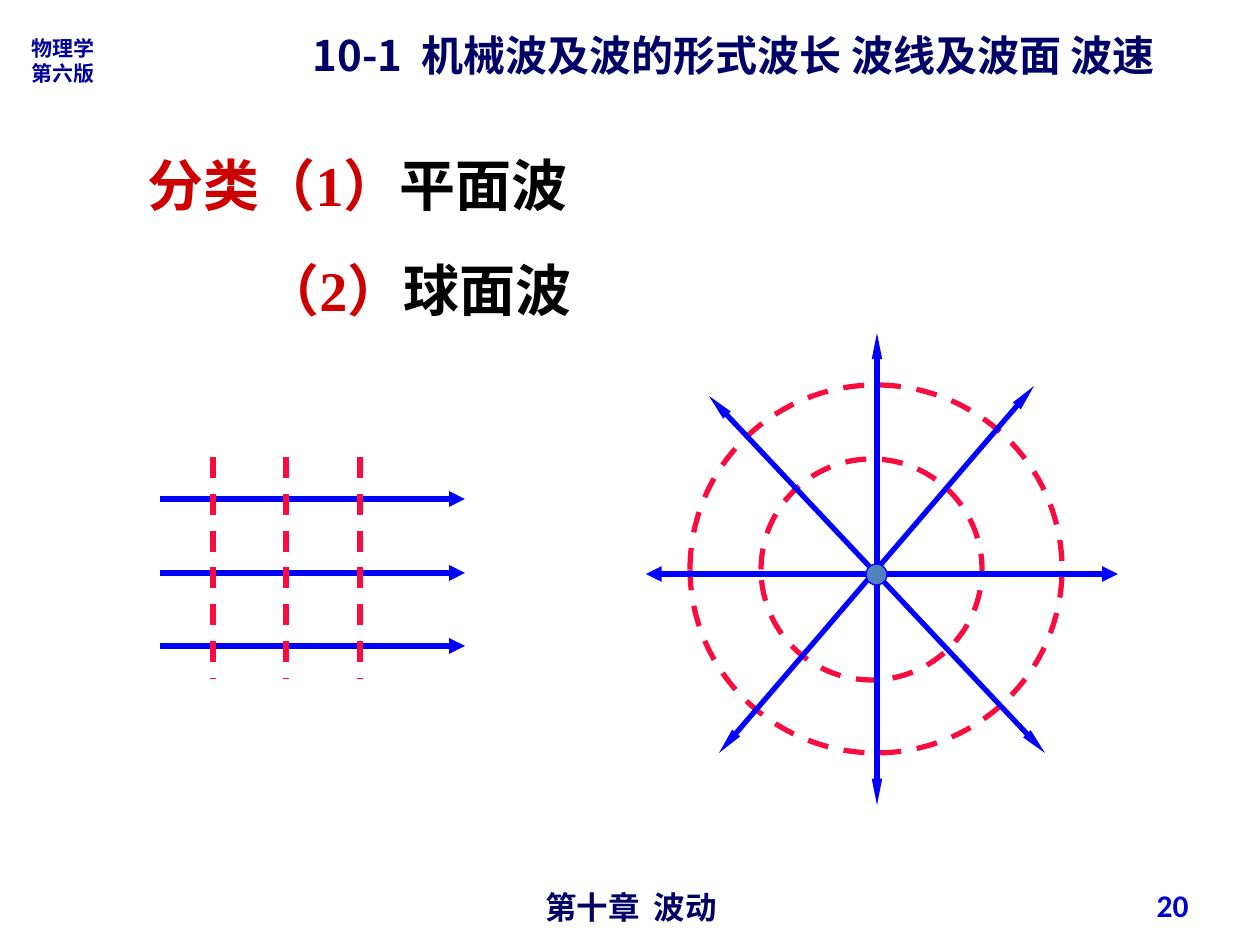
from pptx import Presentation
from pptx.dml.color import RGBColor
from pptx.enum.dml import MSO_LINE
from pptx.enum.shapes import MSO_CONNECTOR, MSO_SHAPE
from pptx.enum.text import MSO_ANCHOR, PP_ALIGN
from pptx.oxml.ns import qn
from pptx.util import Emu, Pt
from lxml.etree import SubElement

SCALE = 914400 / 126
BLUE, RED = "0000FF", "F90D40"


def px(*values):
    return [Emu(round(value * SCALE)) for value in values]


def write(shape, text, size, color, font="Noto Sans CJK SC", align=PP_ALIGN.LEFT,
          anchor=MSO_ANCHOR.TOP, spacing=1.0, tail=""):
    frame = shape.text_frame
    frame.word_wrap = True
    frame.vertical_anchor = anchor
    for index, line in enumerate(text.split("\n")):
        paragraph = frame.paragraphs[0] if index == 0 else frame.add_paragraph()
        paragraph.alignment = align
        paragraph.line_spacing = spacing
        paragraph.space_before = Pt(0)
        for words, shade in ((line, color), (tail, "000000")):
            if words:
                run = paragraph.add_run()
                run.text = words
                run.font.name = font
                run.font.size = Pt(size)
                run.font.bold = True
                run.font.color.rgb = RGBColor.from_string(shade)
                east_asian = SubElement(run.font._element, qn("a:ea"))
                east_asian.set("typeface", "Noto Sans CJK SC")


presentation = Presentation()
presentation.slide_width, presentation.slide_height = px(1260, 945)
slide = presentation.slides.add_slide(presentation.slide_layouts[5])
shapes = slide.shapes

title = shapes.title
title.left, title.top, title.width, title.height = px(300, 13, 956, 73)
write(title, "10-1  机械波及波的形式波长 波线及波面 波速", 24, "000066", spacing=1.2)

labels = [
    ((18, 29, 90, 63), "物理学\n第六版", 12, "000099", {"align": PP_ALIGN.CENTER}),
    ((431, 882, 400, 37), "第十章  波动", 18, "000066",
     {"font": "Arial", "align": PP_ALIGN.CENTER}),
    ((907, 880, 294, 50), "20", 18, "0000CC",
     {"font": "Calibri", "align": PP_ALIGN.RIGHT, "anchor": MSO_ANCHOR.MIDDLE}),
    ((135, 144, 1040, 81), "分类（1）", 32, "CC0000",
     {"font": "Times New Roman", "tail": "平面波"}),
    ((251, 249, 417, 81), "（2）", 32, "CC0000",
     {"font": "Times New Roman", "tail": "球面波"}),
]
for box, text, size, color, options in labels:
    write(shapes.add_textbox(*px(*box)), text, size, color, **options)

plane_rays = [((160, y, 465, y), BLUE, ["tailEnd"], "med", "med")
              for y in (499, 573, 646)]
wave_fronts = [((x, 457, x, 678), RED, [], "", "") for x in (213, 286, 360)]
both_ends = ["headEnd", "tailEnd"]
sphere_rays = [((646, 574, 1118, 574), BLUE, both_ends, "med", "med")]
for ends in ((877, 805, 877, 333), (719, 753, 1034, 386), (1045, 753, 709, 396)):
    sphere_rays.append((ends, BLUE, both_ends, "sm", "lg"))

for box in ((761, 459, 221, 221), (690, 385, 372, 368)):
    circle = shapes.add_shape(MSO_SHAPE.OVAL, *px(*box))
    circle.shadow.inherit = False
    circle.fill.background()
    circle.line.color.rgb = RGBColor.from_string(RED)
    circle.line.width = Pt(3)
    circle.line.dash_style = MSO_LINE.DASH

for ends, color, arrows, width, length in plane_rays + wave_fronts + sphere_rays:
    connector = shapes.add_connector(MSO_CONNECTOR.STRAIGHT, *px(*ends))
    connector.line.color.rgb = RGBColor.from_string(color)
    connector.line.width = Pt(3)
    if not arrows:
        connector.line.dash_style = MSO_LINE.DASH
    properties = connector._element.spPr
    for arrow in arrows:
        SubElement(properties.find(qn("a:ln")), qn("a:" + arrow),
                   type="triangle", w=width, len=length)
    SubElement(properties, qn("a:effectLst"))

source = shapes.add_shape(MSO_SHAPE.OVAL, *px(866, 564, 21, 21))
source.shadow.inherit = False
source.fill.solid()
source.fill.fore_color.rgb = RGBColor.from_string("4F81BD")
source.line.color.rgb = RGBColor.from_string(BLUE)
source.line.width = Pt(0.75)

presentation.save("out.pptx")
